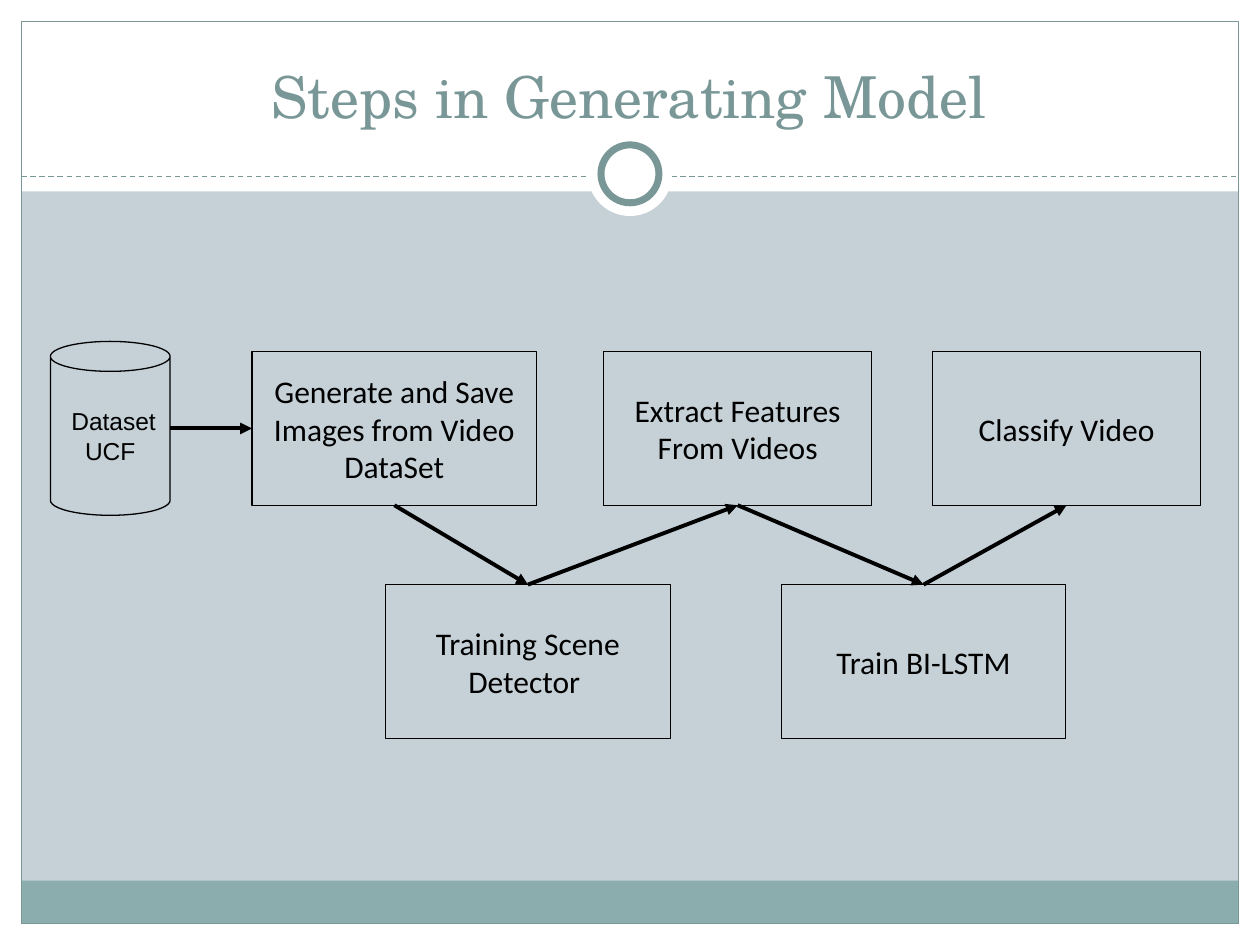
from itertools import pairwise

from lxml.etree import SubElement
from pptx import Presentation
from pptx.dml.color import RGBColor
from pptx.enum.dml import MSO_LINE
from pptx.enum.shapes import MSO_CONNECTOR, MSO_SHAPE as Shape
from pptx.enum.text import MSO_ANCHOR as Anchor, PP_ALIGN as Align
from pptx.oxml.ns import qn
from pptx.util import Inches, Pt

WIDTH, HEIGHT = 10, 7.5
MARGIN = 0.17
HEADER_H, DIVIDER_Y, FOOTER_H = 1.52, 1.4, 0.34
UPPER_Y, LOWER_Y, BOX_H = 2.79, 4.64, 1.22
WIDE, NARROW = 2.26, 2.13
COLORS = {"back": "C5D1D7", "white": "FFFFFF", "footer": "8CADAE",
          "accent": "7A9798", "ink": "000000"}
STEPS = [
    ("Generate and Save Images from Video DataSet", 2, UPPER_Y, WIDE),
    ("Training Scene Detector ", 3.06, LOWER_Y, WIDE),
    ("Extract Features From Videos", 4.79, UPPER_Y, NARROW),
    ("Train BI-LSTM", 6.2, LOWER_Y, WIDE),
    ("Classify Video", 7.4, UPPER_Y, NARROW),
]


def rgb(name):
    """Return the named colour."""
    return RGBColor.from_string(COLORS[name])


def add_shape(s, kind, x, y, w, h, fill=None, line=None, weight=0.75):
    """Add a flat preset shape."""
    sp = s.shapes.add_shape(kind, *map(Inches, (x, y, w, h)))
    sp.shadow.inherit = False
    if fill:
        sp.fill.solid()
        sp.fill.fore_color.rgb = rgb(fill)
    else:
        sp.fill.background()
    if line:
        sp.line.color.rgb = rgb(line)
        sp.line.width = Pt(weight)
    else:
        sp.line.fill.background()
    return sp


def write(sp, text, size, font, color="ink", anchor=Anchor.MIDDLE, inset=0.1):
    """Write one centred paragraph into a shape."""
    tf = sp.text_frame
    tf.word_wrap = True
    tf.vertical_anchor = anchor
    tf.margin_left = tf.margin_right = Inches(0.1)
    tf.margin_top = tf.margin_bottom = Inches(inset)
    p = tf.paragraphs[0]
    p.text = text
    p.alignment = Align.CENTER
    p.font.size = Pt(size)
    p.font.name = font
    p.font.color.rgb = rgb(color)


def add_line(s, start, end, color, weight):
    """Add a straight line without a shadow."""
    c = s.shapes.add_connector(MSO_CONNECTOR.STRAIGHT, *map(Inches, start + end))
    c.line.color.rgb = rgb(color)
    c.line.width = Pt(weight)
    SubElement(c.element.spPr, qn("a:effectLst"))
    return c


def add_arrow(s, start, end):
    """Add a line that ends in a triangle."""
    c = add_line(s, start, end, "ink", 2.25)
    SubElement(c.line._get_or_add_ln(), qn("a:tailEnd"), type="triangle")


def add_frame(s):
    """Draw the borders, bands, divider and ring."""
    inner_w, inner_h = WIDTH - 2 * MARGIN, HEIGHT - 2 * MARGIN
    bottom, right = HEIGHT - MARGIN, WIDTH - MARGIN
    for x, y, w, h in [(0, bottom, WIDTH, MARGIN), (0, 0, WIDTH, HEADER_H),
                       (0, 0, MARGIN, HEIGHT), (right, 0, MARGIN, HEIGHT)]:
        add_shape(s, Shape.RECTANGLE, x, y, w, h, "white")
    add_shape(s, Shape.RECTANGLE, MARGIN, bottom - FOOTER_H, inner_w, FOOTER_H, "footer")
    add_shape(s, Shape.RECTANGLE, MARGIN, MARGIN, inner_w, inner_h, line="accent")
    divider = add_line(s, (MARGIN, DIVIDER_Y), (right, DIVIDER_Y), "accent", 0.75)
    divider.line.dash_style = MSO_LINE.DASH
    for size, line in [(0.67, None), (0.46, "accent")]:
        add_shape(s, Shape.OVAL, (WIDTH - size) / 2, 1.38 - size / 2, size, size,
                  "white", line, 4)


def add_title(s, text):
    """Add the slide title."""
    sp = s.shapes.add_textbox(*map(Inches, (0.33, 0.25, 9.33, 0.83)))
    write(sp, text, 33, "TeX Gyre Schola", "accent", Anchor.BOTTOM, 0.05)


def add_flow(s):
    """Draw the dataset, the steps and the arrows between them."""
    can_x, can_w, can_h = 0.4, 0.95, 1.38
    mid_y = UPPER_Y + BOX_H / 2
    can = add_shape(s, Shape.CAN, can_x, mid_y - can_h / 2, can_w, can_h, line="ink")
    write(can, " Dataset\nUCF", 14, "Arial")
    joints = []
    for text, x, y, w in STEPS:
        box = add_shape(s, Shape.RECTANGLE, x, y, w, BOX_H, line="ink")
        write(box, text, 18, "Calibri")
        joints.append((x + w / 2, y + BOX_H if y == UPPER_Y else y))
    add_arrow(s, (can_x + can_w, mid_y), (STEPS[0][1], mid_y))
    for start, end in pairwise(joints):
        add_arrow(s, start, end)


def main():
    """Build and save the slide."""
    prs = Presentation()
    prs.slide_width, prs.slide_height = Inches(WIDTH), Inches(HEIGHT)
    s = prs.slides.add_slide(prs.slide_layouts[6])
    s.background.fill.solid()
    s.background.fill.fore_color.rgb = rgb("back")
    add_frame(s)
    add_title(s, "Steps in Generating Model")
    add_flow(s)
    prs.save("out.pptx")


if __name__ == "__main__":
    main()
